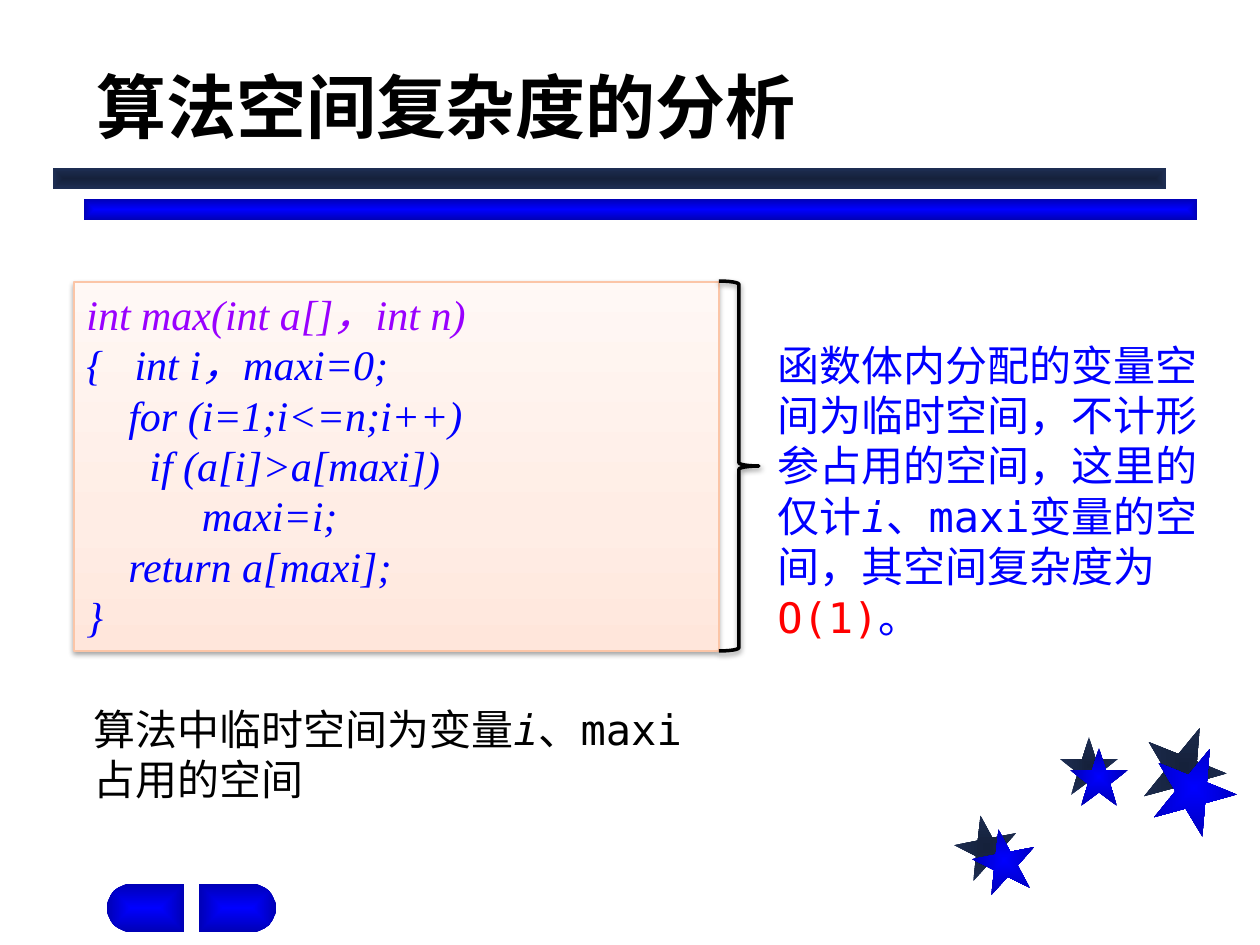
from dataclasses import dataclass
from math import cos, pi, sin

from lxml.etree import SubElement
from pptx import Presentation
from pptx.dml.color import RGBColor
from pptx.enum.shapes import MSO_SHAPE
from pptx.enum.text import MSO_ANCHOR, MSO_AUTO_SIZE, PP_ALIGN
from pptx.oxml import parse_xml
from pptx.oxml.ns import nsdecls, qn
from pptx.util import Pt

PX = 914400 / 126


@dataclass(frozen=True)
class Theme:
    black: str = "000000"
    blue: str = "0000FF"
    purple: str = "9900FF"
    red: str = "FF0000"
    code_edge: str = "FBC5A7"
    navy_glow: tuple = ((0, "15213B"), (100, "1E2E53"))
    blue_glow: tuple = ((0, "0000FF"), (100, "0000B6"))
    code_fill: tuple = ((0, "FFE6DB"), (35, "FFEDE5"), (100, "FFF8F5"))
    title_font: str = "Arial"
    code_font: str = "Times New Roman"
    body_font: str = "DejaVu Sans Mono"
    title_size: int = 40
    body_size: int = 24


THEME = Theme()


def px(*lengths):
    return [round(length * PX) for length in lengths]


def fill_gradient(shape, stops, direction):
    stop_xml = "".join(
        f'<a:gs pos="{pos * 1000}"><a:srgbClr val="{color}"/></a:gs>'
        for pos, color in stops)
    gradient = parse_xml(f'<a:gradFill {nsdecls("a")} rotWithShape="1">'
                         f'<a:gsLst>{stop_xml}</a:gsLst>{direction}</a:gradFill>')
    shape.fill.solid()
    properties = shape._element.spPr
    properties.replace(properties.find(qn("a:solidFill")), gradient)


def add_glow(shape, stops, path="shape"):
    """Strip the outline and spread the gradient out from the centre."""
    shape.shadow.inherit = False
    shape.line.fill.background()
    fill_gradient(shape, stops,
                  f'<a:path path="{path}"><a:fillToRect l="50000" t="50000" '
                  'r="50000" b="50000"/></a:path>')


def add_soft_shadow(shape):
    shape.shadow.inherit = False
    effects = shape._element.spPr.find(qn("a:effectLst"))
    shadow = SubElement(effects, qn("a:outerShdw"), blurRad="39400",
                        dist="20300", dir="5400000", rotWithShape="0")
    color = SubElement(shadow, qn("a:srgbClr"), val=THEME.black)
    SubElement(color, qn("a:alpha"), val="38000")


def add_star(slide, left, top, size, rotation, stops):
    star = slide.shapes.add_shape(MSO_SHAPE.STAR_5_POINT, *px(left, top, size, size))
    star.rotation = rotation
    add_glow(star, stops)


def add_bar(slide, left, top, stops):
    bar = slide.shapes.add_shape(MSO_SHAPE.RECTANGLE, *px(left, top, 1113, 21))
    add_glow(bar, stops)


def add_half_pill(slide, flat_x, side):
    """Draw a pill half whose round end points left (-1) or right (1)."""
    top, radius, straight, steps = 884, 24, 53, 16
    arc = [(flat_x + side * (straight + radius * sin(pi * step / steps)),
            top + radius - radius * cos(pi * step / steps))
           for step in range(steps + 1)]
    outline = slide.shapes.build_freeform(flat_x, top, scale=PX)
    outline.add_line_segments(arc + [(flat_x, top + 2 * radius)], close=True)
    add_glow(outline.convert_to_shape(), THEME.blue_glow, "rect")


def write_text(frame, paragraphs, font_name, size, bold=False):
    """Write paragraphs given as lists of (text, color, italic) runs."""
    frame.word_wrap = True
    for index, runs in enumerate(paragraphs):
        paragraph = frame.add_paragraph() if index else frame.paragraphs[0]
        paragraph.alignment = PP_ALIGN.LEFT
        for text, color, italic in runs:
            run = paragraph.add_run()
            run.text = text
            run.font.name = font_name
            run.font.size = Pt(size)
            run.font.bold = bold
            run.font.italic = italic
            run.font.color.rgb = RGBColor.from_string(color)


def add_title(slide, text):
    frame = slide.shapes.add_textbox(*px(84, 66, 1071, 88)).text_frame
    frame.vertical_anchor = MSO_ANCHOR.BOTTOM
    write_text(frame, [[(text, THEME.black, False)]],
               THEME.title_font, THEME.title_size, bold=True)


def add_note(slide, box, runs):
    frame = slide.shapes.add_textbox(*px(*box)).text_frame
    write_text(frame, [runs], THEME.body_font, THEME.body_size)
    frame.auto_size = MSO_AUTO_SIZE.SHAPE_TO_FIT_TEXT


def add_code(slide, signature, body):
    panel = slide.shapes.add_shape(MSO_SHAPE.RECTANGLE, *px(74, 282, 645, 369))
    fill_gradient(panel, THEME.code_fill, '<a:lin ang="16200000" scaled="1"/>')
    panel.line.color.rgb = RGBColor.from_string(THEME.code_edge)
    panel.line.width = Pt(0.75)
    add_soft_shadow(panel)
    lines = [[(signature, THEME.purple, True)]]
    lines += [[(line, THEME.blue, True)] for line in body]
    frame = panel.text_frame
    frame.vertical_anchor = MSO_ANCHOR.TOP
    write_text(frame, lines, THEME.code_font, THEME.body_size)
    frame.auto_size = MSO_AUTO_SIZE.SHAPE_TO_FIT_TEXT


def add_brace(slide):
    brace = slide.shapes.add_shape(MSO_SHAPE.RIGHT_BRACE, *px(719, 281, 40, 370))
    brace.fill.background()
    brace.line.color.rgb = RGBColor.from_string(THEME.black)
    brace.line.width = Pt(2)
    add_soft_shadow(brace)


def add_decoration(slide):
    navy_stars = [(955, 815, 63, 349), (1060, 737, 58, 0), (1142, 725, 84, 22)]
    blue_stars = [(973, 829, 63, 349), (1070, 748, 58, 0), (1152, 746, 84, 22)]
    for stars, stops in ((navy_stars, THEME.navy_glow),
                         (blue_stars, THEME.blue_glow)):
        for star in stars:
            add_star(slide, *star, stops)
    add_bar(slide, 84, 199, THEME.blue_glow)
    add_bar(slide, 53, 168, THEME.navy_glow)
    add_half_pill(slide, 184, -1)
    add_half_pill(slide, 199, 1)


def main():
    deck = Presentation()
    deck.slide_width, deck.slide_height = px(1260, 945)
    slide = deck.slides.add_slide(deck.slide_layouts[6])
    add_decoration(slide)
    add_title(slide, "算法空间复杂度的分析")
    add_code(slide, "int max(int a[]，int n)", [
        "{   int i，maxi=0;",
        "    for (i=1;i<=n;i++)",
        "\tif (a[i]>a[maxi])",
        "\t     maxi=i;",
        "    return a[maxi];",
        "}",
    ])
    add_note(slide, (81, 697, 630, 115), [
        ("算法中临时空间为变量", THEME.black, False),
        ("i", THEME.black, True),
        ("、maxi占用的空间", THEME.black, False),
    ])
    add_brace(slide)
    add_note(slide, (765, 333, 480, 267), [
        ("函数体内分配的变量空间为临时空间，不计形参占用的空间，这里的仅计",
         THEME.blue, False),
        ("i", THEME.blue, True),
        ("、maxi变量的空间，其空间复杂度为", THEME.blue, False),
        ("O(1)", THEME.red, False),
        ("。", THEME.blue, False),
    ])
    deck.save("out.pptx")


if __name__ == "__main__":
    main()
